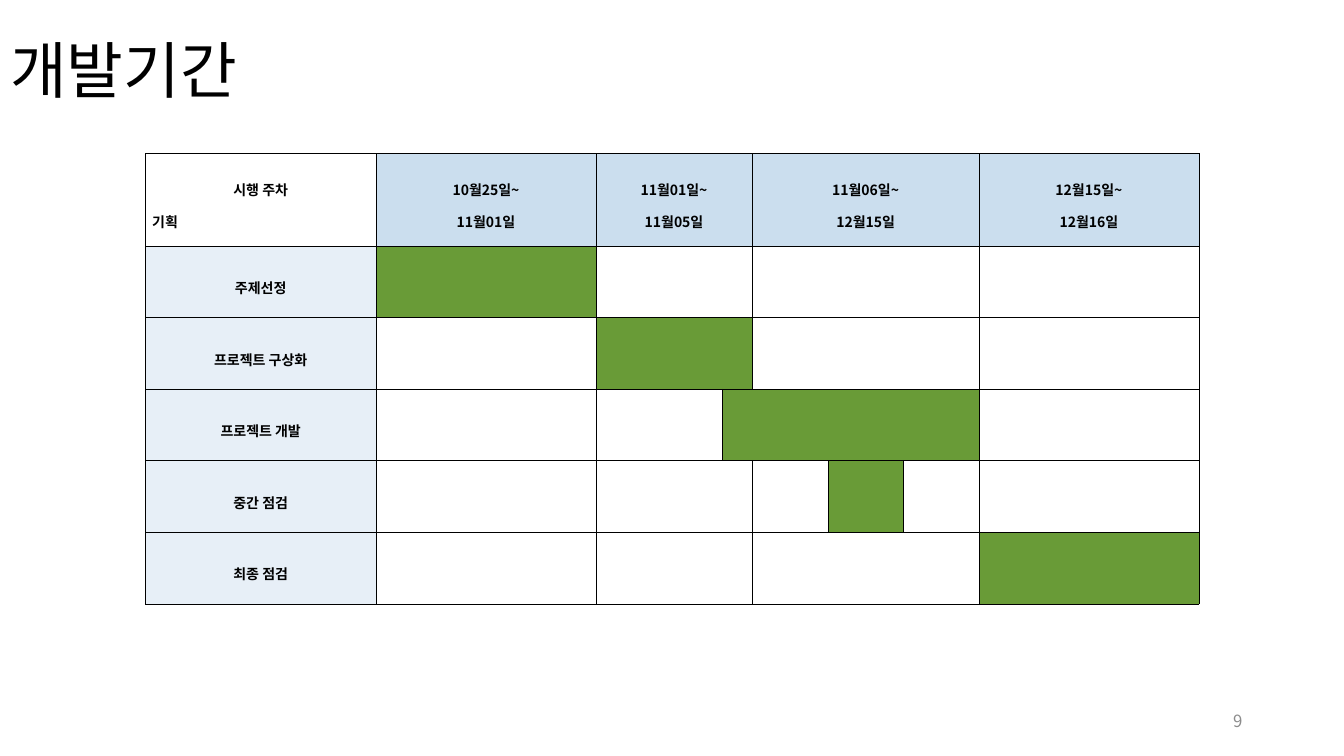
from dataclasses import dataclass

from lxml.etree import SubElement
from pptx import Presentation
from pptx.dml.color import RGBColor
from pptx.enum.text import MSO_ANCHOR, MSO_AUTO_SIZE, PP_ALIGN
from pptx.oxml.ns import qn
from pptx.util import Emu, Pt

FONT = "Noto Sans CJK KR"
BLACK, GREY, WHITE = "000000", "8C8C8C", "FFFFFF"
HEADER, LABEL, BAR = "CBDEEE", "E7EFF7", "699B37"
COLUMNS = [229, 218, 125, 30, 75, 75, 75, 218]
HEADER_HEIGHT, TASK_HEIGHT = 92, 71
BORDER_WIDTH = Pt(0.28)


@dataclass(frozen=True)
class Period:
    start: str
    end: str
    span: int


@dataclass(frozen=True)
class Task:
    name: str
    spans: tuple[int, ...]  # columns taken by each cell after the label
    bar: int  # index of the coloured cell


PERIODS = [
    Period("10월25일~", "11월01일", 1),
    Period("11월01일~", "11월05일", 2),
    Period("11월06일~", "12월15일", 3),
    Period("12월15일~", "12월16일", 1),
]
TASKS = [
    Task("주제선정", (1, 2, 3, 1), 0),
    Task("프로젝트 구상화", (1, 2, 3, 1), 1),
    Task("프로젝트 개발", (1, 1, 4, 1), 2),
    Task("중간 점검", (1, 2, 1, 1, 1, 1), 3),
    Task("최종 점검", (1, 2, 3, 1), 3),
]


def px(length: int) -> Emu:
    """One px is a hundredth of an inch."""
    return Emu(length * 9144)


def rgb(value: str) -> RGBColor:
    return RGBColor.from_string(value)


def style(para, size: int, color: str, align, bold: bool = False) -> None:
    para.alignment = align
    para.font.name = FONT
    para.font.size = Pt(size)
    para.font.bold = bold
    para.font.color.rgb = rgb(color)
    # Korean text takes the East Asian typeface
    defaults = para._p.pPr.find(qn("a:defRPr"))
    SubElement(defaults, qn("a:ea"), typeface=FONT)


def place(shape, left: int, top: int, width: int, height: int) -> None:
    shape.left, shape.top = px(left), px(top)
    shape.width, shape.height = px(width), px(height)


def add_borders(cell) -> None:
    properties = cell._tc.get_or_add_tcPr()
    for position, side in enumerate(("lnL", "lnR", "lnT", "lnB")):
        line = SubElement(properties, qn(f"a:{side}"), w=str(BORDER_WIDTH))
        fill = SubElement(line, qn("a:solidFill"))
        SubElement(fill, qn("a:srgbClr"), val=BLACK)
        properties.insert(position, line)


def write_cell(cell, lines: list[str], fill: str) -> None:
    cell.fill.solid()
    cell.fill.fore_color.rgb = rgb(fill)
    cell.vertical_anchor = MSO_ANCHOR.MIDDLE
    cell.margin_left = cell.margin_right = px(7)
    cell.margin_top = cell.margin_bottom = px(2)
    if lines:
        cell.text_frame.text = "\n".join(lines)
    for para in cell.text_frame.paragraphs:
        style(para, 10, BLACK, PP_ALIGN.CENTER, bold=True)
        para.line_spacing = 1.6


def merge_cells(table, row: int, spans: list[int]) -> list:
    """Join the columns after the label and return the leading cells."""
    cells, column = [], 1
    for span in spans:
        cell = table.cell(row, column)
        if span > 1:
            cell.merge(table.cell(row, column + span - 1))
        cells.append(cell)
        column += span
    return cells


def add_title(page, text: str) -> None:
    title = page.shapes.title
    place(title, 0, 0, 1150, 145)
    frame = title.text_frame
    frame.text = text
    frame.auto_size = MSO_AUTO_SIZE.NONE
    frame.vertical_anchor = MSO_ANCHOR.MIDDLE
    para = frame.paragraphs[0]
    style(para, 44, BLACK, PP_ALIGN.LEFT)
    para.line_spacing = 0.9


def add_schedule(page) -> None:
    heights = [HEADER_HEIGHT] + [TASK_HEIGHT] * len(TASKS)
    table = page.shapes.add_table(
        len(heights), len(COLUMNS), px(144), px(152), px(sum(COLUMNS)), px(sum(heights))
    ).table
    for column, width in zip(table.columns, COLUMNS):
        column.width = px(width)
    for row, height in zip(table.rows, heights):
        row.height = px(height)

    # Header row
    corner = table.cell(0, 0)
    write_cell(corner, ["시행 주차", "기획"], WHITE)
    corner.text_frame.paragraphs[1].alignment = PP_ALIGN.JUSTIFY
    header_cells = merge_cells(table, 0, [period.span for period in PERIODS])
    for cell, period in zip(header_cells, PERIODS):
        write_cell(cell, [period.start, period.end], HEADER)

    # Task rows
    for row, task in enumerate(TASKS, start=1):
        write_cell(table.cell(row, 0), [task.name], LABEL)
        for index, cell in enumerate(merge_cells(table, row, list(task.spans))):
            write_cell(cell, [], BAR if index == task.bar else WHITE)

    for cell in table.iter_cells():
        add_borders(cell)


def add_page_number(page, number: int) -> None:
    box = page.shapes.add_textbox(px(942), px(695), px(300), px(40))
    frame = box.text_frame
    frame.word_wrap = True
    frame.vertical_anchor = MSO_ANCHOR.MIDDLE
    frame.text = str(number)
    style(frame.paragraphs[0], 12, GREY, PP_ALIGN.RIGHT)


def main() -> None:
    deck = Presentation()
    deck.slide_width, deck.slide_height = px(1333), px(750)
    page = deck.slides.add_slide(deck.slide_layouts[5])
    add_title(page, "개발기간")
    add_schedule(page)
    add_page_number(page, 9)
    deck.save("out.pptx")


if __name__ == "__main__":
    main()
